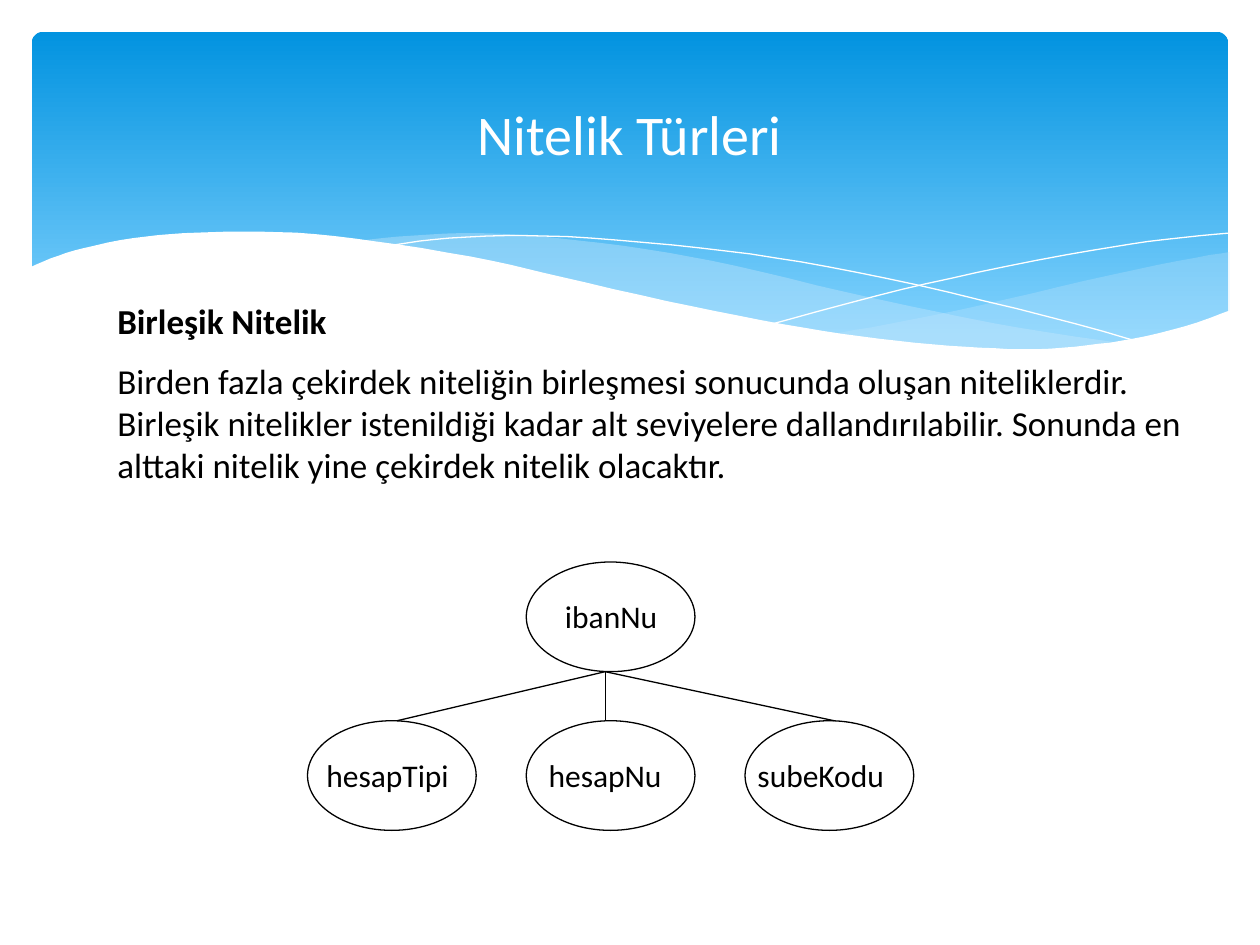
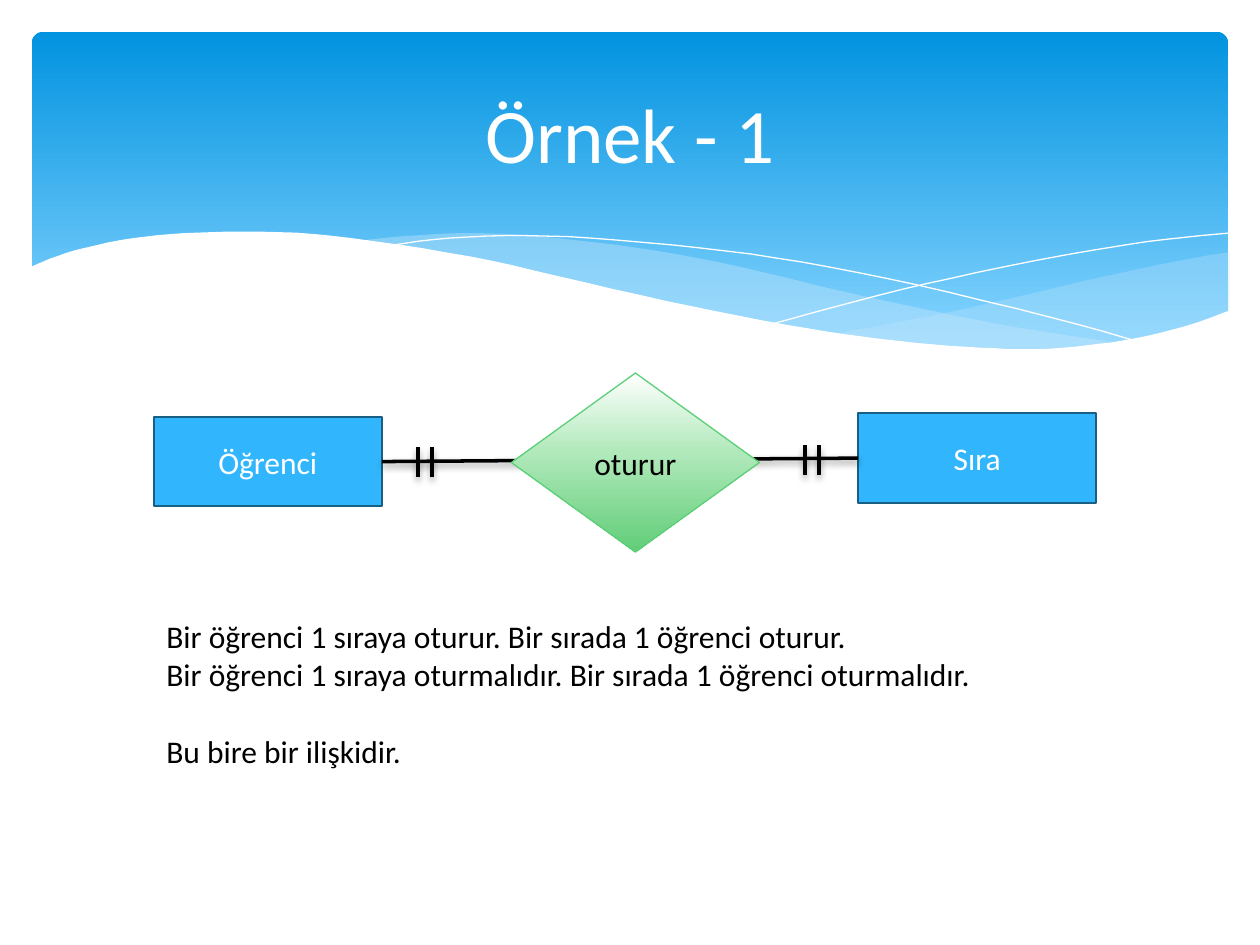
from dataclasses import dataclass

from pptx import Presentation
from pptx import util as u
from pptx.dml.color import RGBColor
from pptx.enum import shapes, text
from pptx.oxml import parse_xml
from pptx.oxml.ns import nsdecls, qn


@dataclass(frozen=True)
class Theme:
    font: str = "Calibri"
    white: str = "FFFFFF"
    ink: str = "000000"
    entity: str = "31B6FD"
    entity_edge: str = "195F84"
    relation_edge: str = "5BD078"
    wave: str = "C6E7FC"
    band: tuple = ((0, "0293E0"), (90, "83D3FE"), (100, "83D3FE"))
    relation: tuple = ((0, "FFFFFF"), (44, "B1E9BB"), (100, "61CD78"))
    title_size: int = 32
    example_size: int = 44
    body_size: int = 20
    label_size: int = 18
    thin: float = 0.75
    edge: float = 1.25
    thick: float = 2


T = Theme()
SLIDE = (0, 0, 25.4, 19.05)

RIGHT_TOP = [(24.79, 5.08), (23.75, 5.26), (21.87, 5.66), (19.79, 6.15),
             (17.93, 6.53), (16.79, 6.73)]
RIGHT_BOTTOM = [(16.79, 6.73), (17.91, 6.88), (19.23, 7.01), (20.4, 7.06),
                (21.69, 7.01), (22.78, 6.86), (23.75, 6.65), (24.79, 6.27)]
MIDDLE_TOP = [(7.26, 4.85), (8.33, 4.75), (9.65, 4.7), (11.23, 4.8),
              (13.06, 5.03), (14.83, 5.36), (16.97, 5.87), (18.82, 6.27),
              (20.5, 6.6), (22.68, 6.93)]
MIDDLE_BOTTOM = [(22.68, 6.93), (21.54, 7.04), (20.22, 7.06), (18.69, 6.99),
                 (16.51, 6.71), (14.38, 6.3), (11.4, 5.64), (9.73, 5.26),
                 (8.2, 4.98), (7.26, 4.85)]
FALLING_LINE = [(7.85, 4.95), (8.74, 4.83), (10.19, 4.75), (11.91, 4.8),
                (14.12, 5), (16.15, 5.28), (18.47, 5.74), (21.11, 6.38),
                (23.04, 6.91)]
RISING_LINE = [(15.57, 6.53), (17.65, 5.97), (19.71, 5.49), (22, 5.05),
               (23.47, 4.83), (24.77, 4.7)]
WHITE_EDGE = [(0.58, 5.41), (1.02, 5.21), (1.7, 5), (2.69, 4.8), (3.71, 4.7),
              (4.9, 4.67), (6.35, 4.72), (8.03, 4.93), (9.93, 5.26),
              (11.35, 5.59), (13.44, 6.07), (15.32, 6.45), (16.97, 6.73),
              (18.44, 6.91), (19.76, 7.01), (20.9, 7.04), (21.92, 6.96),
              (22.83, 6.83), (23.88, 6.58), (24.82, 6.25)]
WHITE_BASE = [(24.82, 8.36), (0.58, 8.36)]


def rgb(color):
    return RGBColor.from_string(color)


def cm(*values):
    return [u.Cm(v) for v in values]


def smooth(points, steps=4):
    padded = [points[0], *points, points[-1]]
    curve = []
    for a, b, c, d in zip(padded, padded[1:], padded[2:], padded[3:]):
        for t in (i / steps for i in range(steps)):
            curve.append(tuple(
                q + t / 2 * (v - o + t * (2 * o - 5 * q + 4 * v - w
                                          + t * (3 * q - o - 3 * v + w)))
                for o, q, v, w in zip(a, b, c, d)))
    return curve + [points[-1]]


def paint(sp, fill=None, line=None, width=T.thin):
    sp.shadow.inherit = False
    if fill:
        sp.fill.solid()
        sp.fill.fore_color.rgb = rgb(fill)
    else:
        sp.fill.background()
    if line:
        sp.line.color.rgb = rgb(line)
        sp.line.width = u.Pt(width)
    else:
        sp.line.fill.background()


def gradient(sp, stops):
    sp.fill.gradient()
    grad = sp.element.spPr.find(qn("a:gradFill"))
    grad.clear()
    marks = "".join(f'<a:gs pos="{pos * 1000}"><a:srgbClr val="{color}"/></a:gs>'
                    for pos, color in stops)
    grad.append(parse_xml(f'<a:gsLst {nsdecls("a")}>{marks}</a:gsLst>'))
    grad.append(parse_xml(f'<a:lin {nsdecls("a")} ang="5400000" scaled="0"/>'))


def write(p, words, size, color=T.ink, bold=False):
    r = p.add_run()
    r.text = words
    r.font.name = T.font
    r.font.size = u.Pt(size)
    r.font.bold = bold
    r.font.color.rgb = rgb(color)


def add_shape(s, kind, box, fill=None, line=None, width=T.thin):
    sp = s.shapes.add_shape(kind, *cm(*box))
    paint(sp, fill, line, width)
    return sp


def label(sp, words, color):
    tf = sp.text_frame
    tf.vertical_anchor = text.MSO_ANCHOR.MIDDLE
    p = tf.paragraphs[0]
    p.alignment = text.PP_ALIGN.CENTER
    write(p, words, T.label_size, color)


def add_line(s, start, end, width, shadow=False, joined=None):
    c = s.shapes.add_connector(shapes.MSO_CONNECTOR.STRAIGHT, *cm(*start, *end))
    if joined:
        c.begin_connect(joined[0], 3)
        c.end_connect(joined[1], 1)
    c.line.color.rgb = rgb(T.ink)
    c.line.width = u.Pt(width)
    effect = (f'<a:outerShdw blurRad="{u.Pt(4)}" dist="{u.Pt(2)}" dir="5400000" '
              f'rotWithShape="0"><a:srgbClr val="{T.ink}"><a:alpha val="38000"/>'
              '</a:srgbClr></a:outerShdw>') if shadow else ""
    c.element.spPr.append(
        parse_xml(f'<a:effectLst {nsdecls("a")}>{effect}</a:effectLst>'))


def add_outline(s, box, points, fill=None, alpha=None, line=None):
    units = [(x * 100, y * 100) for x, y in points]
    builder = s.shapes.build_freeform(*units[0], scale=u.Cm(0.01))
    builder.add_line_segments(units[1:], close=bool(fill))
    sp = builder.convert_to_shape(*cm(*box[:2]))
    paint(sp, fill, line, 0)
    if alpha:
        color = sp.element.spPr.find(qn("a:solidFill"))[0]
        color.append(parse_xml(f'<a:alpha {nsdecls("a")} val="{alpha * 1000}"/>'))
    return sp


def backdrop(s, box):
    x, y, w, _ = box
    margin = 0.64
    band = add_shape(s, shapes.MSO_SHAPE.ROUNDED_RECTANGLE,
                     (x + margin, y + margin, w - 2 * margin, 6.86))
    band.adjustments[0] = 0.034
    gradient(band, T.band)
    parts = [
        band,
        add_outline(s, box, smooth(RIGHT_TOP) + smooth(RIGHT_BOTTOM), T.wave, 29),
        add_outline(s, box, smooth(MIDDLE_TOP) + smooth(MIDDLE_BOTTOM), T.wave, 40),
        add_outline(s, box, smooth(FALLING_LINE), line=T.white),
        add_outline(s, box, smooth(RISING_LINE), line=T.white),
        add_outline(s, box, smooth(WHITE_EDGE) + WHITE_BASE, T.white),
    ]
    tree = s.slide_layout.shapes.element
    for sp in parts:
        tree.append(sp.element)


def place(sp, box):
    sp.left, sp.top, sp.width, sp.height = cm(*box)


def title(s, words, size):
    sp = s.shapes.title
    place(sp, (1.27, 0.94, 22.86, 3.48))
    tf = sp.text_frame
    tf.vertical_anchor = text.MSO_ANCHOR.MIDDLE
    p = tf.paragraphs[0]
    p.alignment = text.PP_ALIGN.CENTER
    write(p, words, size, T.white)


def body(s, box, lines, size):
    sp = s.placeholders[1]
    place(sp, box)
    tf = sp.text_frame
    tf.word_wrap = True
    tf.auto_size = text.MSO_AUTO_SIZE.NONE
    tf.vertical_anchor = text.MSO_ANCHOR.TOP
    for i, (words, before, bold) in enumerate(lines):
        p = tf.add_paragraph() if i else tf.paragraphs[0]
        pPr = p._p.get_or_add_pPr()
        pPr.set("marL", "0")
        pPr.set("indent", "0")
        pPr.append(parse_xml(f'<a:buNone {nsdecls("a")}/>'))
        p.space_before = u.Pt(before)
        write(p, words, size, bold=bold)


def attribute(s, box, words, inset):
    x, y, _, _ = box
    add_shape(s, shapes.MSO_SHAPE.OVAL, box, line=T.ink)
    tf = s.shapes.add_textbox(*cm(x + inset, y + 0.58, 3.2, 1.02)).text_frame
    tf.word_wrap = False
    write(tf.paragraphs[0], words, T.label_size)


def attribute_tree(s, box):
    x, y, w, h = box
    oval_w, oval_h = 3.4, 2.21
    pitch = (w - oval_w) / 2
    leaf_y = y + h - oval_h
    hub = (x + 6, y + oval_h)
    leaves = [("hesapTipi", 0.13, 1.8), ("hesapNu", 0.2, 6), ("subeKodu", 0, 10.62)]
    attribute(s, (x + pitch, y, oval_w, oval_h), "ibanNu", 0.53)
    for i, (words, inset, end) in enumerate(leaves):
        attribute(s, (x + i * pitch, leaf_y, oval_w, oval_h), words, inset)
        add_line(s, (x + end, leaf_y), hub, T.thin)


def relationship(s, box):
    x, y, w, h = box
    entity_h = 1.81
    entities = []
    for words, dx, dy, width in (("Öğrenci", 0, 0.88, 4.6),
                                 ("Sıra", w - 4.8, 0.81, 4.8)):
        sp = add_shape(s, shapes.MSO_SHAPE.RECTANGLE, (x + dx, y + dy, width, entity_h),
                       T.entity, T.entity_edge, T.edge)
        label(sp, words, T.white)
        entities.append(sp)
    add_line(s, (x, y), (x + w, y), T.thick, True, entities)
    for dx, dy in ((5.33, 1.5), (13.13, 1.46)):
        for tick in (x + dx, x + dx + 0.28):
            add_line(s, (tick, y + dy), (tick, y + dy + 0.6), T.thick, True)
    relation = add_shape(s, shapes.MSO_SHAPE.DIAMOND, (x + 7.21, y, 5, h),
                         line=T.relation_edge)
    gradient(relation, T.relation)
    label(relation, "oturur", T.ink)


def attribute_slide(s):
    title(s, "Nitelik Türleri", T.title_size)
    body(s, (2.11, 5.92, 22.6, 4.9), [
        ("Birleşik Nitelik", 0, True),
        ("Birden fazla çekirdek niteliğin birleşmesi sonucunda oluşan niteliklerdir. "
         "Birleşik nitelikler istenildiği kadar alt seviyelere dallandırılabilir. "
         "Sonunda en alttaki nitelik yine çekirdek nitelik olacaktır.", 10, False),
    ], T.body_size)
    attribute_tree(s, (6.2, 11.33, 12.22, 5.41))


def example_slide(s):
    title(s, "Örnek - 1", T.example_size)
    relationship(s, (3.1, 7.52, 19, 3.61))
    body(s, (3.1, 12.32, 17.6, 3.33), [
        ("Bir öğrenci 1 sıraya oturur. Bir sırada 1 öğrenci oturur.", 0, False),
        ("Bir öğrenci 1 sıraya oturmalıdır. Bir sırada 1 öğrenci oturmalıdır.", 0, False),
        ("Bu bire bir ilişkidir.", 22, False),
    ], T.label_size)


def main():
    prs = Presentation()
    prs.slide_width, prs.slide_height = cm(*SLIDE[2:])
    layout = prs.slide_layouts[1]
    slides = [prs.slides.add_slide(layout) for _ in range(2)]
    backdrop(slides[0], SLIDE)
    attribute_slide(slides[0])
    example_slide(slides[1])
    prs.save("out.pptx")


if __name__ == "__main__":
    main()
